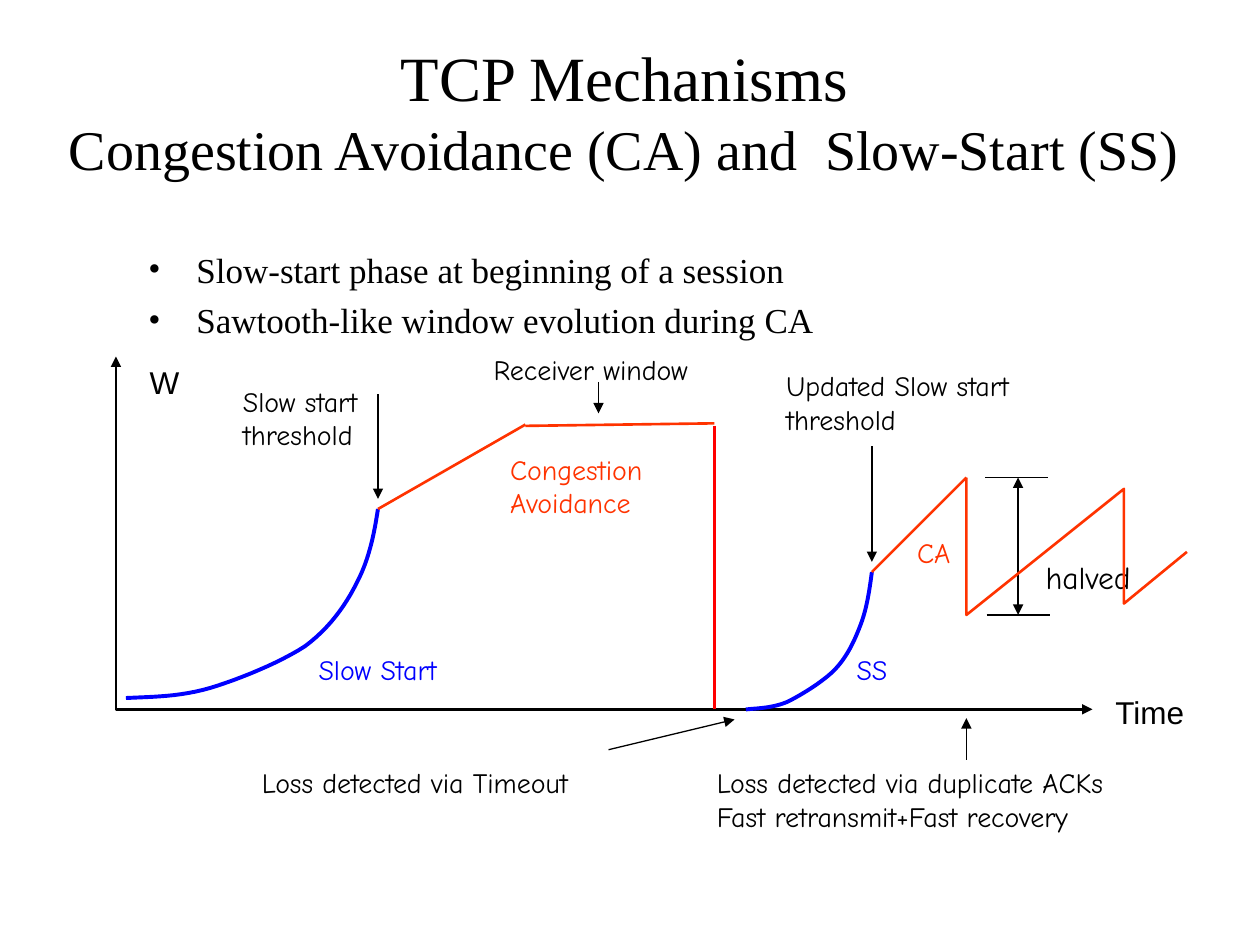
from lxml import etree
from pptx import Presentation
from pptx.dml.color import RGBColor
from pptx.enum.shapes import MSO_CONNECTOR
from pptx.enum.text import MSO_ANCHOR, MSO_AUTO_SIZE, PP_ALIGN
from pptx.oxml.ns import qn
from pptx.util import Inches, Pt

BLACK = RGBColor(0, 0, 0)
BLUE = RGBColor(0, 0, 255)
ORANGE = RGBColor(255, 51, 0)
RED = RGBColor(255, 0, 0)
SERIF, SANS, HAND = "Times New Roman", "Arial", "Comic Neue"
STRAIGHT = MSO_CONNECTOR.STRAIGHT
CENTER, LEFT = PP_ALIGN.CENTER, PP_ALIGN.LEFT
MIDDLE = MSO_ANCHOR.MIDDLE
FIT, NO_FIT = MSO_AUTO_SIZE.SHAPE_TO_FIT_TEXT, MSO_AUTO_SIZE.NONE

# Diagram lengths are inches from the top of the vertical axis.
AXES = [(0, 0), (0, 2.8), (7.75, 2.8)]
SAWTOOTH = [(6.75, 0.96), (6.75, 2.05), (8, 1.05), (8, 1.96), (8.5, 1.55)]
SLOW_START = [
    (2.08, 1.21), (2.05, 1.41), (2.01, 1.61), (1.91, 1.8), (1.82, 1.98),
    (1.69, 2.16), (1.5, 2.3), (1.3, 2.43), (0.98, 2.56), (0.75, 2.63),
    (0.51, 2.7), (0.3, 2.7), (0.08, 2.71),
]
SECOND_SLOW_START = [
    (6, 1.71), (5.98, 1.86), (5.96, 2), (5.91, 2.13), (5.86, 2.26),
    (5.8, 2.39), (5.7, 2.49), (5.61, 2.58), (5.45, 2.68), (5.33, 2.74),
    (5.21, 2.79), (5.1, 2.79), (5, 2.8),
]
HALVED_TICKS = [((6.91, 2.05), (7.41, 2.05)), ((6.9, 0.96), (7.4, 0.96))]
HALVED_SPAN = ((7.16, 0.96), (7.16, 2.05))
POINTERS = [
    ((2.08, 0.3), (2.08, 1.13)),
    ((3.83, 0.2), (3.83, 0.45)),
    ((6.75, 3.2), (6.75, 2.87)),
    ((6, 0.71), (6, 1.63)),
    ((3.91, 3.12), (4.91, 2.88)),
]
WINDOW_LINES = [
    ((6, 1.71), (6.75, 0.96), ORANGE),
    ((4.75, 0.55), (4.75, 2.8), RED),
    ((2.08, 1.21), (3.25, 0.54), ORANGE),
    ((4.75, 0.53), (3.25, 0.55), ORANGE),
]
# Lines of text, left, top, width, height, colour
NOTES = [
    (["Slow start", "threshold"], 0.91, 0.17, 1.19, 0.64, BLACK),
    (["Receiver window"], 2.9, -0.08, 1.75, 0.37, BLACK),
    (["Slow Start"], 1.51, 2.3, 1.14, 0.37, BLUE),
    (["Congestion", "Avoidance"], 3.03, 0.71, 1.32, 0.64, ORANGE),
    (["Loss detected via duplicate ACKs", "Fast retransmit+Fast recovery"],
     4.67, 3.2, 3.29, 0.64, BLACK),
    (["SS"], 5.78, 2.3, 0.5, 0.37, BLUE),
    (["Loss detected via Timeout"], 1.06, 3.2, 2.65, 0.37, BLACK),
    (["Updated Slow start", "threshold"], 5.22, 0.05, 1.98, 0.64, BLACK),
    (["CA"], 6.26, 1.37, 0.52, 0.37, ORANGE),
]


def style_font(font, name, size, colour):
    for attribute, value in {"name": name, "size": Pt(size)}.items():
        setattr(font, attribute, value)
    font.color.rgb = colour


def style_line(shape, colour, width, ends=()):
    """Set the outline, its arrowheads (headEnd, tailEnd) and no shadow."""
    shape.line.color.rgb = colour
    shape.line.width = Pt(width)
    outline = shape.line._get_or_add_ln()
    for end in ends:
        etree.SubElement(outline, qn("a:" + end), type="triangle")
    etree.SubElement(shape._element.spPr, qn("a:effectLst"))


def add_line(slide, origin, start, end, colour, width, ends=()):
    (x, y), (x1, y1), (x2, y2) = origin, start, end
    line = slide.shapes.add_connector(
        STRAIGHT, Inches(x + x1), Inches(y + y1), Inches(x + x2), Inches(y + y2))
    style_line(line, colour, width, ends)


def add_path(slide, origin, points, colour, width, ends=()):
    places = [(Inches(origin[0] + x), Inches(origin[1] + y)) for x, y in points]
    builder = slide.shapes.build_freeform(*places[0])
    builder.add_line_segments(places[1:], close=False)
    path = builder.convert_to_shape()
    path.fill.background()
    style_line(path, colour, width, ends)


def curve_points(controls, steps=12):
    """Return points along joined cubic Bezier segments."""
    points = [controls[0]]
    for first in range(0, len(controls) - 1, 3):
        segment = controls[first:first + 4]
        for step in range(1, steps + 1):
            t = step / steps
            weights = ((1 - t) ** 3, 3 * t * (1 - t) ** 2, 3 * t * t * (1 - t), t ** 3)
            points.append(tuple(
                sum(w * point[axis] for w, point in zip(weights, segment))
                for axis in (0, 1)))
    return points


def add_text(slide, box, lines, font, size, colour, align=LEFT, wrap=False):
    shape = slide.shapes.add_textbox(*map(Inches, box))
    frame = shape.text_frame
    frame.word_wrap = wrap
    frame.auto_size = NO_FIT if wrap else FIT
    for index, line in enumerate(lines):
        paragraph = frame.paragraphs[0] if index == 0 else frame.add_paragraph()
        paragraph.alignment = align
        run = paragraph.add_run()
        run.text = line
        style_font(run.font, font, size, colour)
    return frame


def add_title(slide, box):
    frame = add_text(slide, box, ["TCP Mechanisms"], SERIF, 36, BLACK, CENTER, True)
    frame.vertical_anchor = MIDDLE
    paragraph = frame.paragraphs[0]
    paragraph.add_line_break()
    run = paragraph.add_run()
    run.text = "Congestion Avoidance (CA) and  Slow-Start (SS)"
    style_font(run.font, SERIF, 32, BLACK)


def add_bullets(slide, box):
    lines = ["Slow-start phase at beginning of a session",
             "Sawtooth-like window evolution during CA"]
    frame = add_text(slide, box, lines, SERIF, 20, BLACK, wrap=True)
    for paragraph in frame.paragraphs:
        paragraph.space_before = Pt(5)
        properties = paragraph._p.get_or_add_pPr()
        properties.set("marL", str(Inches(0.38)))
        properties.set("indent", str(Inches(-0.38)))
        etree.SubElement(properties, qn("a:buFont"), typeface=SERIF)
        etree.SubElement(properties, qn("a:buChar"), char="•")


def add_window_diagram(slide, origin):
    """Draw the window size over time, with its axes and notes."""
    left, top = origin
    both = ("headEnd", "tailEnd")
    add_path(slide, origin, AXES, BLACK, 1.5, both)
    for start, end in HALVED_TICKS:
        add_line(slide, origin, start, end, BLACK, 0.75)
    add_line(slide, origin, *HALVED_SPAN, BLACK, 0.75, both)
    add_text(slide, (left + 7.28, top + 1.55, 0.88, 0.4), ["halved"], HAND, 18, BLACK)
    for start, end in POINTERS:
        add_line(slide, origin, start, end, BLACK, 0.75, ("tailEnd",))
    for controls in (SLOW_START, SECOND_SLOW_START):
        add_path(slide, origin, curve_points(controls), BLUE, 2.25)
    add_path(slide, origin, SAWTOOTH, ORANGE, 1.5)
    for start, end, colour in WINDOW_LINES:
        add_line(slide, origin, start, end, colour, 1.5)
    for lines, x, y, width, height, colour in NOTES:
        add_text(slide, (left + x, top + y, width, height), lines, HAND, 16, colour)
    for name, x, y, width in (("W", 0.17, 0, 0.43), ("Time", 7.83, 2.62, 0.75)):
        add_text(slide, (left + x, top + y, width, 0.4), [name], SANS, 18, BLACK, CENTER)


def main():
    presentation = Presentation()
    presentation.slide_width = Inches(10)
    presentation.slide_height = Inches(7.5)
    slide = presentation.slides.add_slide(presentation.slide_layouts[6])
    add_title(slide, (0.33, 0.25, 9.25, 1.25))
    add_window_diagram(slide, (0.92, 2.83))
    add_bullets(slide, (1.08, 1.92, 8.42, 2))
    presentation.save("out.pptx")


if __name__ == "__main__":
    main()
